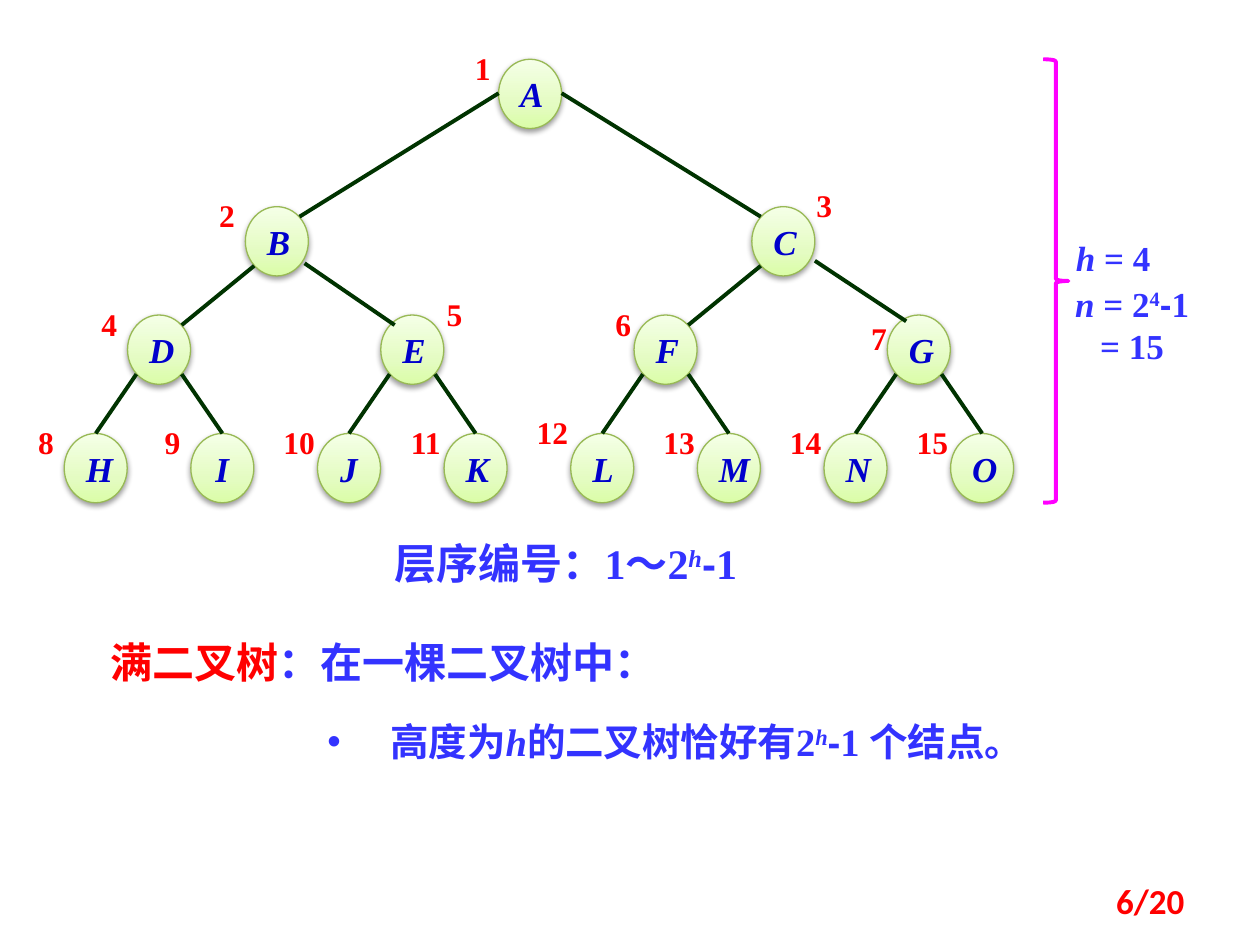
from lxml import etree
from pptx import Presentation
from pptx import util as u
from pptx.dml.color import RGBColor
from pptx.enum import shapes, text
from pptx.oxml import parse_xml
from pptx.oxml.ns import nsdecls, qn

COLORS = {
    "letter": "0000CC", "red": "FF0000", "blue": "3333FF", "edge": "003300",
    "outline": "98B955", "brace": "FF00FF", "shadow": "000000",
}
GRADIENT = [(0, "DAFDA7"), (35, "E4FCC2"), (100, "F5FFE7")]
SERIF, SANS, CJK = "Times New Roman", "Arial", "Noto Sans CJK SC"

# Tree nodes in level order: node i has the children 2i and 2i + 1.
NODES = "ABCDEFGHIJKLMNO"
LEVEL_TOPS = [0.47, 1.64, 2.5, 3.44]
NODE_W, NODE_H = 0.5, 0.55
LEAF_START, LEAF_STEP = 0.76, 1.005
UPPER_SHIFT = -0.07
NUMBER_OFFSET = (-0.36, -0.08)
NUMBER_OFFSETS = {1: (-0.34, -0.08), 3: (0.36, -0.16), 5: (0.37, -0.16),
                  6: (-0.3, -0.08), 7: (-0.28, 0.03), 12: (-0.36, -0.16)}
# Edge ends by child: (distance from centre, depth below top) at parent, at child.
EDGE = ((0.18, 0.47), (0.18, 0.08))
LEAF_EDGE = ((0.18, 0.47), (0, 0))
EDGES = {2: ((0.25, 0.27), (0.18, 0.08)), 3: ((0.25, 0.27), (0.18, 0.08)),
         5: ((0.22, 0.45), (0.14, 0.08)), 7: ((0.25, 0.43), (0.1, 0.05))}

ITALIC = {"italic": True}
RAISED = {"raised": True}
VARIABLE_POWER = {"italic": True, "raised": True}
MINUS = ("-", {"font": SANS})

# (place, paragraphs of runs, format)
TEXTS = [
    ((0.78, 5, 5.55, 0.5),
     [[("满二叉树", {"color": "red"}), ("：在一棵二叉树中：", {})]],
     {"size": 24, "font": CJK}),
    ((2.5, 5.6, 6.48, 0.52),
     [[("高度为", {"font": CJK}), ("h", ITALIC), ("的二叉树恰好有", {"font": CJK}),
       ("2", {}), ("h", VARIABLE_POWER), MINUS, ("1 个结点", {}),
       ("。", {"font": CJK})]],
     {"size": 22, "bullet": "•", "line_spacing": 30}),
    ((2.5, 4.22, 3.98, 0.5),
     [[("层序编号：1～2", {}), ("h", VARIABLE_POWER), MINUS, ("1", {})]],
     {"size": 24, "align": "CENTER"}),
    ((8.44, 1.83, 0.86, 0.44), [[("h ", ITALIC), ("= 4", {})]], {}),
    ((8.36, 2.19, 1.25, 0.77),
     [[("n ", ITALIC), ("= 2", {}), ("4", RAISED), MINUS, ("1", {})],
      [("= 15", {})]],
     {"align": "CENTER"}),
    ((7.17, 6.95, 2.33, 0.4), [[("6/20", {})]],
     {"font": "Calibri", "color": "red", "align": "RIGHT", "anchor": "MIDDLE"}),
]


def rgb(name):
    return RGBColor.from_string(COLORS[name])


def inches(*values):
    return [u.Inches(value) for value in values]


def add_run(paragraph, words, size, font, color, italic=False, raised=False):
    run = paragraph.add_run()
    run.text = words
    run.font.size = u.Pt(size)
    run.font.bold, run.font.italic = True, italic
    run.font.name = font
    run.font.color.rgb = rgb(color)
    properties = run.font._element
    etree.SubElement(properties, qn("a:ea")).set("typeface", CJK)
    if raised:
        properties.set("baseline", "30000")


def write(shape, paragraphs, size=20, font=SERIF, color="blue", align="LEFT",
          anchor="TOP", bullet=None, line_spacing=None, **run_format):
    """Fill a shape with paragraphs, each a list of (words, run format)."""
    frame = shape.text_frame
    frame.word_wrap = True
    frame.vertical_anchor = getattr(text.MSO_ANCHOR, anchor)
    for index, runs in enumerate(paragraphs):
        paragraph = frame.add_paragraph() if index else frame.paragraphs[0]
        paragraph.alignment = getattr(text.PP_ALIGN, align)
        if line_spacing:
            paragraph.line_spacing = u.Pt(line_spacing)
        if bullet:
            properties = paragraph._p.get_or_add_pPr()
            properties.set("marL", str(u.Inches(0.5)))
            properties.set("indent", str(u.Inches(-0.5)))
            etree.SubElement(properties, qn("a:buFont")).set("typeface", SANS)
            etree.SubElement(properties, qn("a:buChar")).set("char", bullet)
        base = {"size": size, "font": font, "color": color, **run_format}
        for words, changes in runs:
            add_run(paragraph, words, **{**base, **changes})


def add_text(slide, place, paragraphs, margin=None, **text_format):
    box = slide.shapes.add_textbox(*inches(*place))
    frame = box.text_frame
    if margin is not None:
        frame.margin_left = frame.margin_right = u.Inches(margin)
        frame.margin_top = frame.margin_bottom = u.Inches(margin)
    frame.auto_size = text.MSO_AUTO_SIZE.SHAPE_TO_FIT_TEXT
    write(box, paragraphs, **text_format)


def add_node(slide, letter, center, top):
    node = slide.shapes.add_shape(
        shapes.MSO_SHAPE.OVAL, *inches(center - NODE_W / 2, top, NODE_W, NODE_H))
    node.line.color.rgb, node.line.width = rgb("outline"), u.Pt(0.75)
    node.shadow.inherit = False
    stops = "".join(f'<a:gs pos="{position * 1000}"><a:srgbClr val="{color}"/></a:gs>'
                    for position, color in GRADIENT)
    properties = node._element.spPr
    properties.find(qn("a:prstGeom")).addnext(parse_xml(
        f'<a:gradFill {nsdecls("a")} rotWithShape="1"><a:gsLst>{stops}</a:gsLst>'
        '<a:lin ang="16200000" scaled="1"/></a:gradFill>'))
    properties.find(qn("a:effectLst")).append(parse_xml(
        f'<a:outerShdw {nsdecls("a")} blurRad="40000" dist="20000" dir="5400000" '
        f'rotWithShape="0"><a:srgbClr val="{COLORS["shadow"]}"><a:alpha val="38000"/>'
        '</a:srgbClr></a:outerShdw>'))
    write(node, [[(letter, ITALIC)]], color="letter", align="CENTER", anchor="MIDDLE")


def add_edge(slide, *ends):
    edge = slide.shapes.add_connector(shapes.MSO_CONNECTOR.STRAIGHT, *inches(*ends))
    edge.line.color.rgb, edge.line.width = rgb("edge"), u.Pt(2.25)
    etree.SubElement(edge._element.spPr, qn("a:effectLst"))


def place_nodes():
    """Map each number to (centre, top); a parent sits between its children."""
    first_leaf = 2 ** (len(LEVEL_TOPS) - 1)
    centers = {number: LEAF_START + LEAF_STEP * (number - first_leaf)
               for number in range(first_leaf, 2 * first_leaf)}
    for number in range(first_leaf - 1, 0, -1):
        centers[number] = (centers[2 * number] + centers[2 * number + 1]) / 2
        if number in (2, 3):
            centers[number] += UPPER_SHIFT
    return {number: (center, LEVEL_TOPS[number.bit_length() - 1])
            for number, center in centers.items()}


def add_tree(slide):
    places = place_nodes()
    for number, letter in enumerate(NODES, 1):
        center, top = places[number]
        add_node(slide, letter, center, top)
        shift_x, shift_y = NUMBER_OFFSETS.get(number, NUMBER_OFFSET)
        add_text(slide, (center - NODE_W / 2 + shift_x, top + shift_y, 0.43, 0.3),
                 [[(str(number), {})]], margin=0, size=18, color="red", align="CENTER")
    for child in range(2, len(NODES) + 1):
        center, top = places[child]
        parent_center, parent_top = places[child // 2]
        is_leaf = 2 * child > len(NODES)
        (out, drop), (back, depth) = EDGES.get(child, LEAF_EDGE if is_leaf else EDGE)
        side = 1 if child % 2 else -1
        add_edge(slide, parent_center + side * out, parent_top + drop,
                 center - side * back, top + depth)


def main():
    presentation = Presentation()
    presentation.slide_width, presentation.slide_height = inches(10, 7.5)
    slide = presentation.slides.add_slide(presentation.slide_layouts[6])
    add_tree(slide)
    brace = slide.shapes.add_shape(
        shapes.MSO_SHAPE.RIGHT_BRACE, *inches(8.28, 0.47, 0.2, 3.52))
    brace.shadow.inherit = False
    brace.fill.background()
    brace.line.color.rgb, brace.line.width = rgb("brace"), u.Pt(2.25)
    for place, paragraphs, text_format in TEXTS:
        add_text(slide, place, paragraphs, **text_format)
    presentation.save("out.pptx")


if __name__ == "__main__":
    main()
